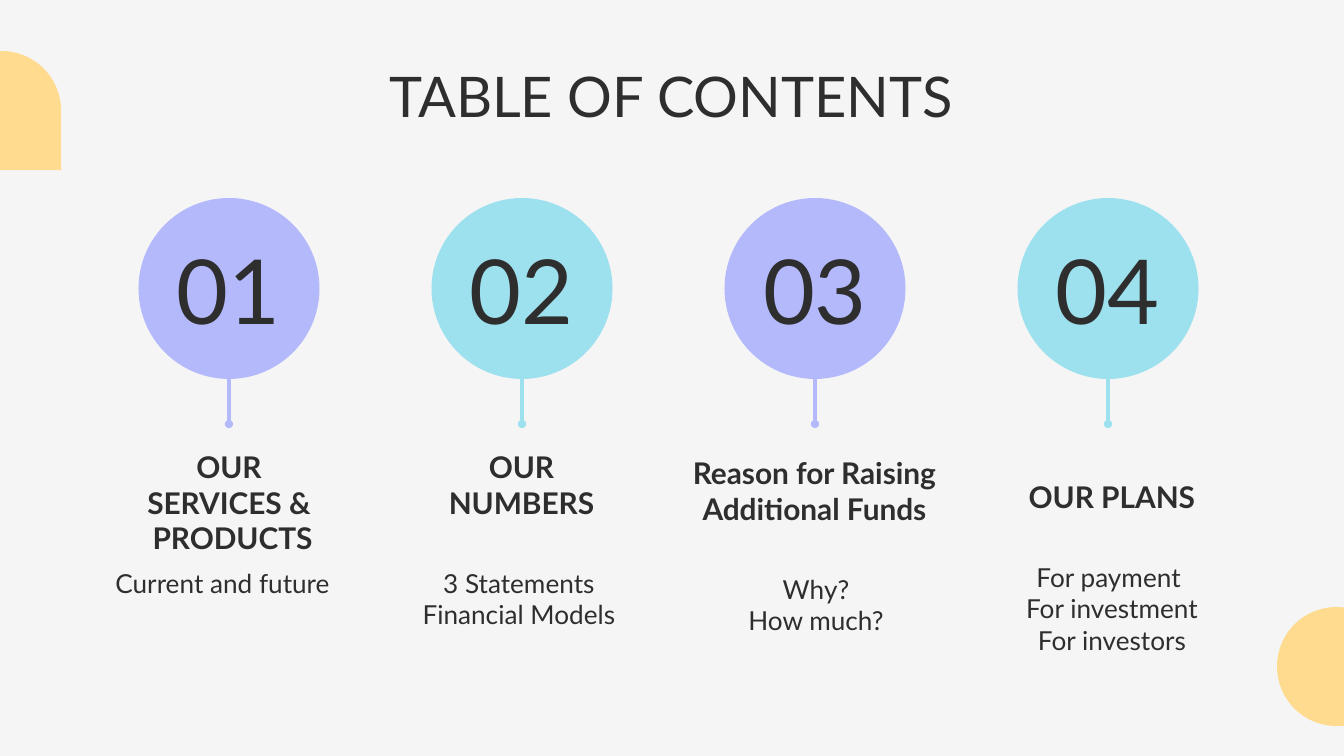
import lxml.etree
import pptx
import pptx.dml.color
import pptx.enum.shapes
import pptx.enum.text
import pptx.oxml.ns
import pptx.util

SCALE = 914400 / 134.4
COLORS = {
    "back": "F5F5F5",
    "ink": "2E2E2E",
    "sun": "FFDB8F",
    "violet": "B3B9FB",
    "aqua": "9DE0EE",
}
FIRST, PITCH = 229, 293
ITEMS = [
    ("01", "violet", "OUR SERVICES &\n PRODUCTS", (116, 435, 226, 126),
     ["Current and future "], (86, 554), (0, 0)),
    ("02", "aqua", "OUR NUMBERS", (402, 435, 239, 125),
     ["3 Statements", "Financial Models"], (371, 554), (67, -51)),
    ("03", "violet", "Reason for Raising Additional Funds", (676, 441, 277, 120),
     ["Why?", "How much?"], (676, 560), (0, 0)),
    ("04", "aqua", "OUR PLANS", (962, 465, 300, 85),
     ["For payment ", "For investment", "For investors"], (972, 548), (0, 0)),
]


def px(num):
    """Turn pixels into EMU."""
    return pptx.util.Emu(round(num * SCALE))


def rgb(name):
    """Look up a named colour."""
    return pptx.dml.color.RGBColor.from_string(COLORS[name])


def add_node(parent, tag, **attrs):
    """Append a DrawingML element."""
    return lxml.etree.SubElement(parent, pptx.oxml.ns.qn(tag), attrs)


def add_shape(slide, kind, box, color):
    """Draw a plain filled shape."""
    shape = slide.shapes.add_shape(kind, *map(px, box))
    shape.shadow.inherit = False
    shape.fill.solid()
    shape.fill.fore_color.rgb = rgb(color)
    shape.line.fill.background()
    return shape


def add_drop(slide, left, top):
    """Draw a rounded corner ornament."""
    kind = pptx.enum.shapes.MSO_SHAPE.TEAR
    drop = add_shape(slide, kind, (left, top, 119, 119), "sun")
    drop.adjustments[0] = 1
    drop.rotation = 90


def add_stem(slide, mid, color):
    """Draw a line that ends in a dot."""
    kind = pptx.enum.shapes.MSO_CONNECTOR.STRAIGHT
    stem = slide.shapes.add_connector(kind, px(mid), px(331), px(mid), px(424))
    stem.line.color.rgb = rgb(color)
    stem.line.width = pptx.util.Pt(2.25)
    add_node(stem.line._get_or_add_ln(), "a:tailEnd", type="oval", w="sm", len="sm")
    add_node(stem._element.spPr, "a:effectLst")


def fill_text(shape, box, lines, size, bold=False, anchor="TOP", dent=(0, 0)):
    """Place a text shape and write its centred paragraphs."""
    shape.left, shape.top, shape.width, shape.height = map(px, box)
    frame = shape.text_frame
    frame.word_wrap = True
    frame.auto_size = pptx.enum.text.MSO_AUTO_SIZE.NONE
    frame.vertical_anchor = pptx.enum.text.MSO_ANCHOR[anchor]
    inset = pptx.util.Inches(0.1)
    frame.margin_left = frame.margin_right = inset
    frame.margin_top = frame.margin_bottom = inset
    for num, line in enumerate(lines):
        para = frame.add_paragraph() if num else frame.paragraphs[0]
        props = para._p.get_or_add_pPr()
        props.set("marL", str(px(dent[0])))
        props.set("indent", str(px(dent[1])))
        add_node(props, "a:buNone")
        para.alignment = pptx.enum.text.PP_ALIGN.CENTER
        para.space_before = pptx.util.Pt(0)
        for part, words in enumerate(line.split("\n")):
            if part:
                para.add_line_break()
            run = para.add_run()
            run.text = words
            run.font.name = "Lato"
            run.font.size = pptx.util.Pt(size)
            run.font.bold = bold
            run.font.color.rgb = rgb("ink")


def add_text(slide, box, line, size, **style):
    """Add a text box with one paragraph."""
    shape = slide.shapes.add_textbox(*map(px, box))
    fill_text(shape, box, [line], size, **style)


def add_item(slide, num, item):
    """Build one column of the contents."""
    label, color, head, box, lines, spot, dent = item
    mid = FIRST + num * PITCH
    add_stem(slide, mid, color)
    kind = pptx.enum.shapes.MSO_SHAPE.OVAL
    add_shape(slide, kind, (mid - 90.5, 198, 181, 181), color)
    add_text(slide, (mid - 129, 246, 258, 85), label, 48, anchor="MIDDLE")
    add_text(slide, box, head, 16, bold=True)
    body = slide.placeholders[num + 1]
    fill_text(body, (*spot, 280, 126), lines, 14, dent=dent)


def main():
    """Build and save the slide."""
    deck = pptx.Presentation()
    deck.slide_width, deck.slide_height = px(1344), px(756)
    slide = deck.slides.add_slide(deck.slide_layouts.get_by_name("Comparison"))
    slide.background.fill.solid()
    slide.background.fill.fore_color.rgb = rgb("back")
    add_drop(slide, 1277, 607)
    add_drop(slide, -58, 51)
    fill_text(slide.shapes.title, (200, 48, 942, 93), ["TABLE OF CONTENTS"], 30)
    for num, item in enumerate(ITEMS):
        add_item(slide, num, item)
    deck.save("out.pptx")


if __name__ == "__main__":
    main()
